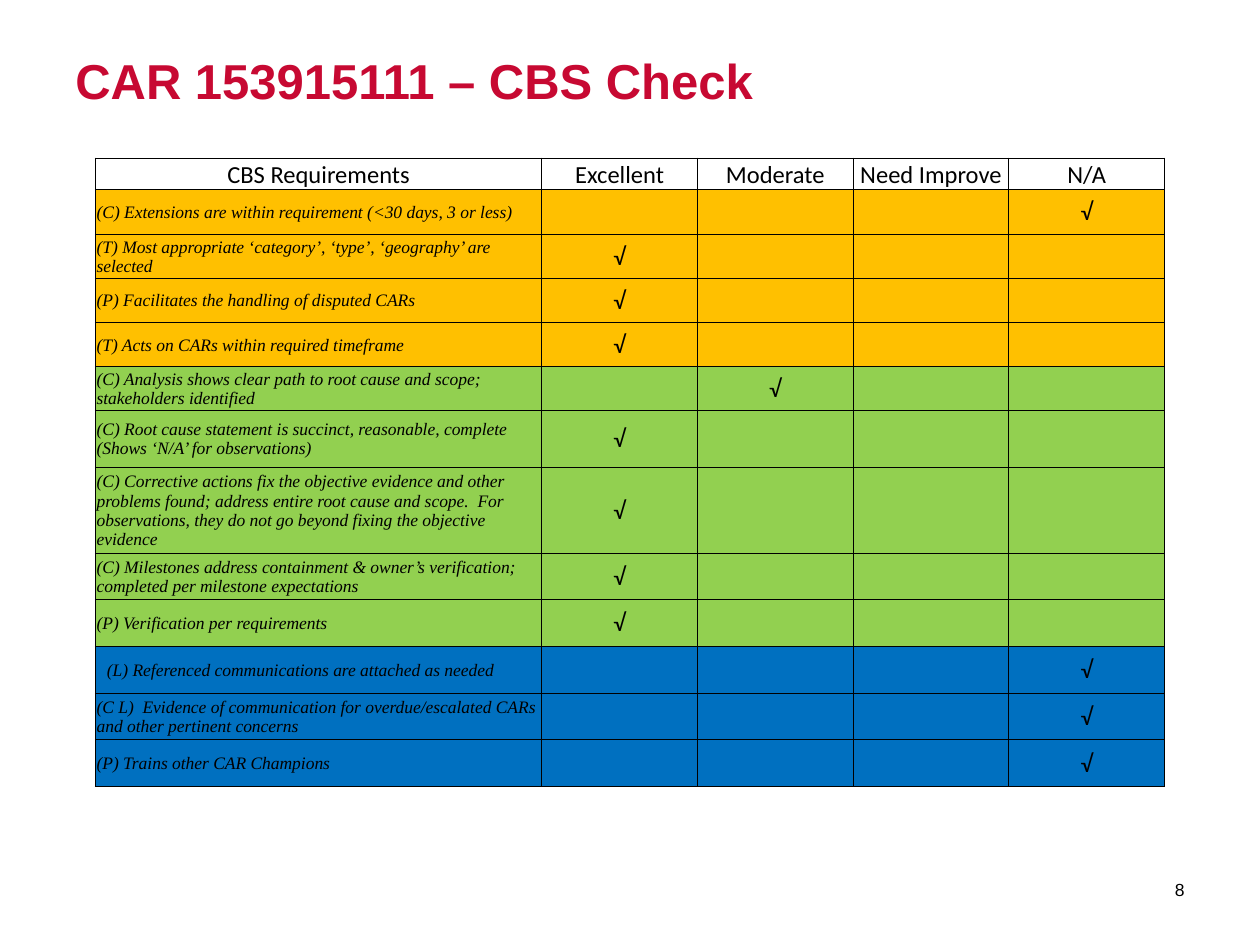
from lxml.etree import fromstring
from pptx import Presentation
from pptx.dml.color import RGBColor
from pptx.enum.text import MSO_ANCHOR, PP_ALIGN
from pptx.oxml.ns import nsdecls
from pptx.util import Pt

COLORS = {"title": "C70932", "text": "000000", "border": "000000",
          "orange": "FFC000", "green": "92D050", "blue": "0070C0"}
TITLE = {"name": "Arial", "size": Pt(28), "bold": True}
NUMBER = {"name": "Arial", "size": Pt(10)}
HEADING = {"name": "Calibri", "size": Pt(14)}
REQUIREMENT = {"name": "Times New Roman", "size": Pt(10), "italic": True}

headers = ["CBS Requirements", "Excellent", "Moderate", "Need Improve", "N/A"]
rows = [
    ("orange", 25.3, 4, "(C) Extensions are within requirement (<30 days, 3 or less)"),
    ("orange", 25.3, 1, "(T) Most appropriate ‘category’, ‘type’, ‘geography’ are selected"),
    ("orange", 25.3, 1, "(P) Facilitates the handling of disputed CARs"),
    ("orange", 25.3, 1, "(T) Acts on CARs within required timeframe"),
    ("green", 24, 2, "(C) Analysis shows clear path to root cause and scope; stakeholders identified"),
    ("green", 33, 1, "(C) Root cause statement is succinct, reasonable, complete (Shows ‘N/A’ for observations)"),
    ("green", 45, 1, "(C) Corrective actions fix the objective evidence and other problems found; "
     "address entire root cause and scope.  For observations, they do not go beyond "
     "fixing the objective evidence"),
    ("green", 26.7, 1, "(C) Milestones address containment & owner’s verification; "
     "completed per milestone expectations"),
    ("green", 26.7, 1, "(P) Verification per requirements"),
    ("blue", 26.7, 4, "(L) Referenced communications are attached as needed"),
    ("blue", 26.7, 4, "(C L)  Evidence of communication for overdue/escalated CARs "
     "and other pertinent concerns"),
    ("blue", 26.7, 4, "(P) Trains other CAR Champions"),
]


def write(tf, text, fmt, align=PP_ALIGN.LEFT, color="text"):
    p = tf.paragraphs[0]
    p.alignment = align
    r = p.add_run()
    r.text = text
    for key, value in fmt.items():
        setattr(r.font, key, value)
    r.font.color.rgb = RGBColor.from_string(COLORS[color])


def set_borders(cell, widths):
    tcPr = cell._tc.get_or_add_tcPr()
    for i, (side, width) in enumerate(widths.items()):
        tcPr.insert(i, fromstring(
            f'<a:ln{side} {nsdecls("a")} w="{Pt(width)}"><a:solidFill>'
            f'<a:srgbClr val="{COLORS["border"]}"/></a:solidFill></a:ln{side}>'))


prs = Presentation()
prs.slide_width, prs.slide_height = Pt(720), Pt(540)
s = prs.slides.add_slide(prs.slide_layouts[6])

tf = s.shapes.add_textbox(Pt(36), Pt(21.6), Pt(648), Pt(90)).text_frame
tf.word_wrap = True
tf.margin_top = Pt(7.2)
write(tf, "CAR 153915111 – CBS Check", TITLE, color="title")

tf = s.shapes.add_textbox(Pt(633.6), Pt(494), Pt(50.4), Pt(28.8)).text_frame
tf.word_wrap = True
tf.vertical_anchor = MSO_ANCHOR.MIDDLE
write(tf, "8", NUMBER, PP_ALIGN.RIGHT)

col_widths = [255] + [89] * 4
row_heights = [18] + [height for _, height, _, _ in rows]
table = s.shapes.add_table(len(row_heights), len(col_widths), Pt(54.6), Pt(90.5),
                           Pt(sum(col_widths)), Pt(sum(row_heights))).table
table.first_row = table.horz_banding = False
for col, width in zip(table.columns, col_widths):
    col.width = Pt(width)
for row, height in zip(table.rows, row_heights):
    row.height = Pt(height)

for i in range(len(row_heights)):
    for j in range(len(col_widths)):
        cell = table.cell(i, j)
        cell.margin_left = cell.margin_right = cell.margin_top = Pt(0.6)
        cell.margin_bottom = 0
        cell.vertical_anchor = MSO_ANCHOR.MIDDLE if i else MSO_ANCHOR.BOTTOM
        if i == 0:
            cell.fill.background()
            write(cell.text_frame, headers[j], HEADING, PP_ALIGN.CENTER)
        else:
            band, _, checked, requirement = rows[i - 1]
            cell.fill.solid()
            cell.fill.fore_color.rgb = RGBColor.from_string(COLORS[band])
            if j == 0:
                write(cell.text_frame, requirement, REQUIREMENT)
                if requirement.startswith("(L)"):
                    cell.margin_left = Pt(6.5)
            elif j == checked:
                write(cell.text_frame, "√", HEADING, PP_ALIGN.CENTER)
        set_borders(cell, {"L": 1 if j == 0 else 0.5,
                           "R": 1 if j == len(col_widths) - 1 else 0.5,
                           "T": 1 if i == 0 else 0.5,
                           "B": 1 if i == len(row_heights) - 1 else 0.5})

prs.save("out.pptx")
